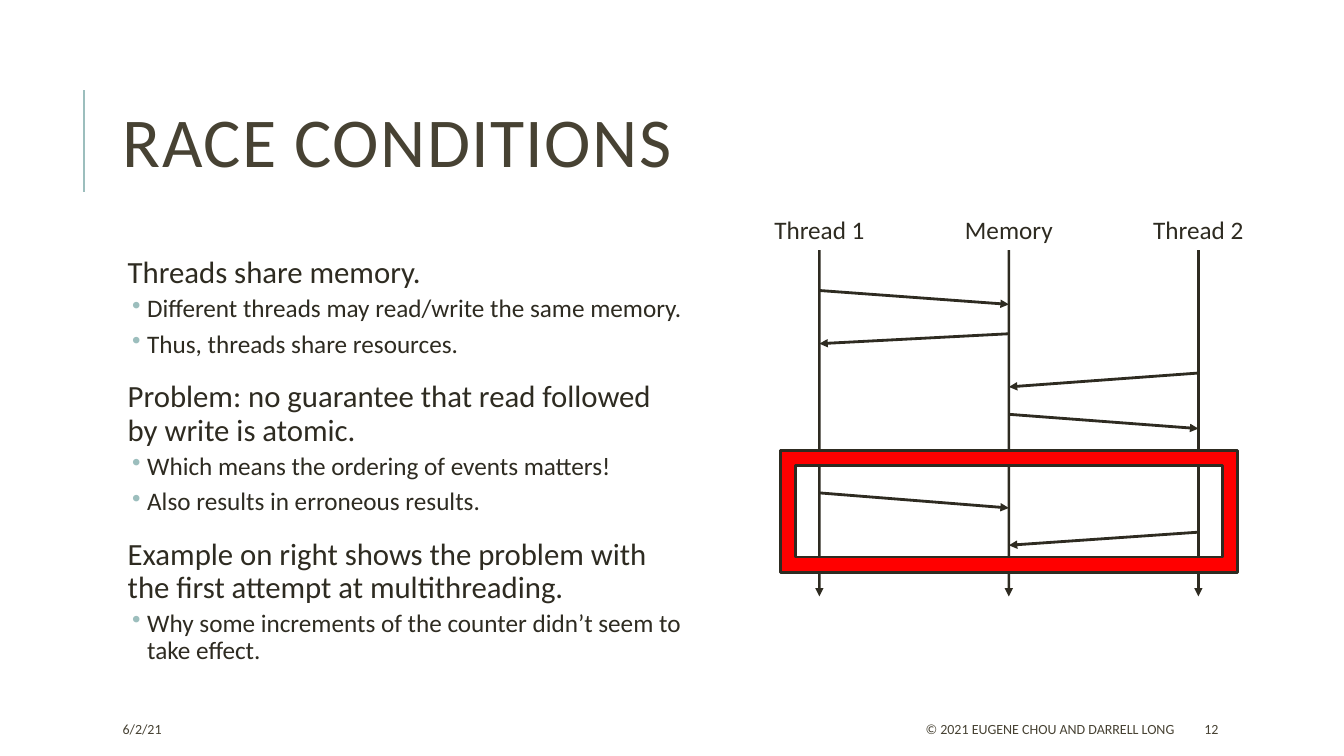
from lxml.etree import SubElement
from pptx import Presentation
from pptx.dml.color import RGBColor
from pptx.enum.shapes import MSO_CONNECTOR, MSO_SHAPE
from pptx.enum.text import MSO_ANCHOR, MSO_AUTO_SIZE, PP_ALIGN
from pptx.oxml.ns import qn
from pptx.util import Cm, Pt

FONT = "Calibri"
INK = RGBColor(0x2E, 0x2B, 0x21)
BROWN = RGBColor(0x47, 0x42, 0x33)
TEAL = RGBColor(0x9C, 0xBE, 0xBD)
RED = RGBColor(0xFF, 0x00, 0x00)

TOPICS = [
    ("Threads share memory.",
     ["Different threads may read/write the same memory.",
      "Thus, threads share resources."]),
    ("Problem: no guarantee that read followed by write is atomic.",
     ["Which means the ordering of events matters!",
      "Also results in erroneous results."]),
    ("Example on right shows the problem with the first attempt at multithreading.",
     ["Why some increments of the counter didn’t seem to take effect."]),
]
LIFELINES = ["Thread 1", "Memory", "Thread 2"]
MESSAGES = [
    (0, 1, 2.04, 2.39),
    (1, 0, 3.13, 3.38),
    (2, 1, 4.12, 4.47),
    (1, 2, 5.16, 5.52),
    (0, 1, 7.14, 7.52),
    (2, 1, 8.13, 8.46),
]


def write(paragraph, text, size, color=INK, align=PP_ALIGN.LEFT,
          line_spacing=1.0, before=0, after=0, spacing=None):
    """Put formatted text into a paragraph."""
    paragraph.alignment = align
    paragraph.line_spacing = line_spacing
    paragraph.space_before = Pt(before)
    paragraph.space_after = Pt(after)
    run = paragraph.add_run()
    run.text = text
    run.font.name = FONT
    run.font.size = Pt(size)
    run.font.color.rgb = color
    if spacing:
        run.font._element.set("spc", str(spacing))


def add_box(slide, left, top, width, height, anchor=MSO_ANCHOR.TOP):
    """Add a wrapping text box, measured in centimetres."""
    shape = slide.shapes.add_textbox(Cm(left), Cm(top), Cm(width), Cm(height))
    shape.text_frame.word_wrap = True
    shape.text_frame.vertical_anchor = anchor
    return shape


def add_line(slide, x1, y1, x2, y2, width, color=INK, arrow=True):
    """Add a straight line, with an arrowhead at its end if asked."""
    connector = slide.shapes.add_connector(
        MSO_CONNECTOR.STRAIGHT, Cm(x1), Cm(y1), Cm(x2), Cm(y2))
    connector.line.color.rgb = color
    connector.line.width = Pt(width)
    if arrow:
        SubElement(connector.line._get_or_add_ln(), qn("a:tailEnd"), type="triangle")
    SubElement(connector._element.spPr, qn("a:effectLst"))
    return connector


def set_indent(paragraph, left, hanging=0, bullet=None):
    """Set the indents in centimetres and the bullet of a paragraph."""
    properties = paragraph._p.get_or_add_pPr()
    properties.set("marL", str(Cm(left)))
    properties.set("indent", str(-Cm(hanging)))
    if bullet:
        color = SubElement(properties, qn("a:buClr"))
        SubElement(color, qn("a:srgbClr"), val=str(TEAL))
        SubElement(properties, qn("a:buChar"), char=bullet)
    else:
        SubElement(properties, qn("a:buNone"))


def build_title(slide, left, top, width, height):
    """Place the title and the accent line beside it."""
    add_line(slide, left - 0.72, top + 0.65, left - 0.72, top + 3.2, 1.5, TEAL, arrow=False)
    title = slide.shapes.title
    title.left, title.top = Cm(left), Cm(top)
    title.width, title.height = Cm(width), Cm(height)
    frame = title.text_frame
    frame.auto_size = MSO_AUTO_SIZE.NONE
    frame.vertical_anchor = MSO_ANCHOR.MIDDLE
    write(frame.paragraphs[0], "RACE CONDITIONS", 50, BROWN, line_spacing=0.8, spacing=100)


def build_topics(slide, left, top, width, height):
    """Place the topics with their bulleted points."""
    frame = add_box(slide, left, top, width, height).text_frame
    frame.margin_left = frame.margin_right = Cm(0.13)
    frame.margin_top = frame.margin_bottom = Cm(0.13)
    for index, (topic, points) in enumerate(TOPICS):
        paragraph = frame.add_paragraph() if index else frame.paragraphs[0]
        set_indent(paragraph, 0.25)
        write(paragraph, topic, 22, line_spacing=0.9, before=12 if index else 0, after=2)
        for point in points:
            paragraph = frame.add_paragraph()
            set_indent(paragraph, 0.74, 0.38, "•")
            write(paragraph, point, 18, line_spacing=0.9, before=2, after=4)


def build_sequence(slide, left, top, width, height):
    """Place the sequence diagram with the race framed."""
    label_width, label_height, frame_inset = 3.66, 1.02, 0.84
    pitch = (width - label_width) / (len(LIFELINES) - 1)
    centers = [left + label_width / 2 + pitch * index for index in range(len(LIFELINES))]
    for name, center in zip(LIFELINES, centers):
        label = add_box(slide, center - label_width / 2, top, label_width, label_height)
        write(label.text_frame.paragraphs[0], name, 18, align=PP_ALIGN.CENTER)
        lifeline = add_line(slide, center, top + label_height, center, top + height, 1.75)
        lifeline.begin_connect(label, 2)
    for sender, receiver, sent, received in MESSAGES:
        add_line(slide, centers[sender], top + sent, centers[receiver], top + received, 2)
    race = slide.shapes.add_shape(
        MSO_SHAPE.FRAME, Cm(left + frame_inset), Cm(top + 6.07),
        Cm(width - 2 * frame_inset), Cm(3.07))
    race.shadow.inherit = False
    race.fill.solid()
    race.fill.fore_color.rgb = RED
    race.line.color.rgb = INK
    race.line.width = Pt(2)


def build_footer(slide, left, top, width, height):
    """Place the date, the copyright line and the slide number."""
    parts = [
        ("6/2/21", 0, 6, PP_ALIGN.LEFT),
        ("© 2021 EUGENE CHOU AND DARRELL LONG", 10.62, 16.38, PP_ALIGN.RIGHT),
        ("12", width - 2.69, 2.69, PP_ALIGN.LEFT),
    ]
    for text, offset, part_width, align in parts:
        box = add_box(slide, left + offset, top, part_width, height, MSO_ANCHOR.MIDDLE)
        write(box.text_frame.paragraphs[0], text, 10, BROWN, align)


def main():
    """Build the slide and save it."""
    presentation = Presentation()
    presentation.slide_width, presentation.slide_height = Cm(33.87), Cm(19.05)
    slide = presentation.slides.add_slide(presentation.slide_layouts[5])
    build_title(slide, 2.84, 1.63, 27, 4.17)
    build_topics(slide, 2.84, 6.35, 14.48, 11.18)
    build_sequence(slide, 18.82, 5.28, 13.21, 9.75)
    build_footer(slide, 2.84, 17.98, 29.95, 0.76)
    presentation.save("out.pptx")


if __name__ == "__main__":
    main()
